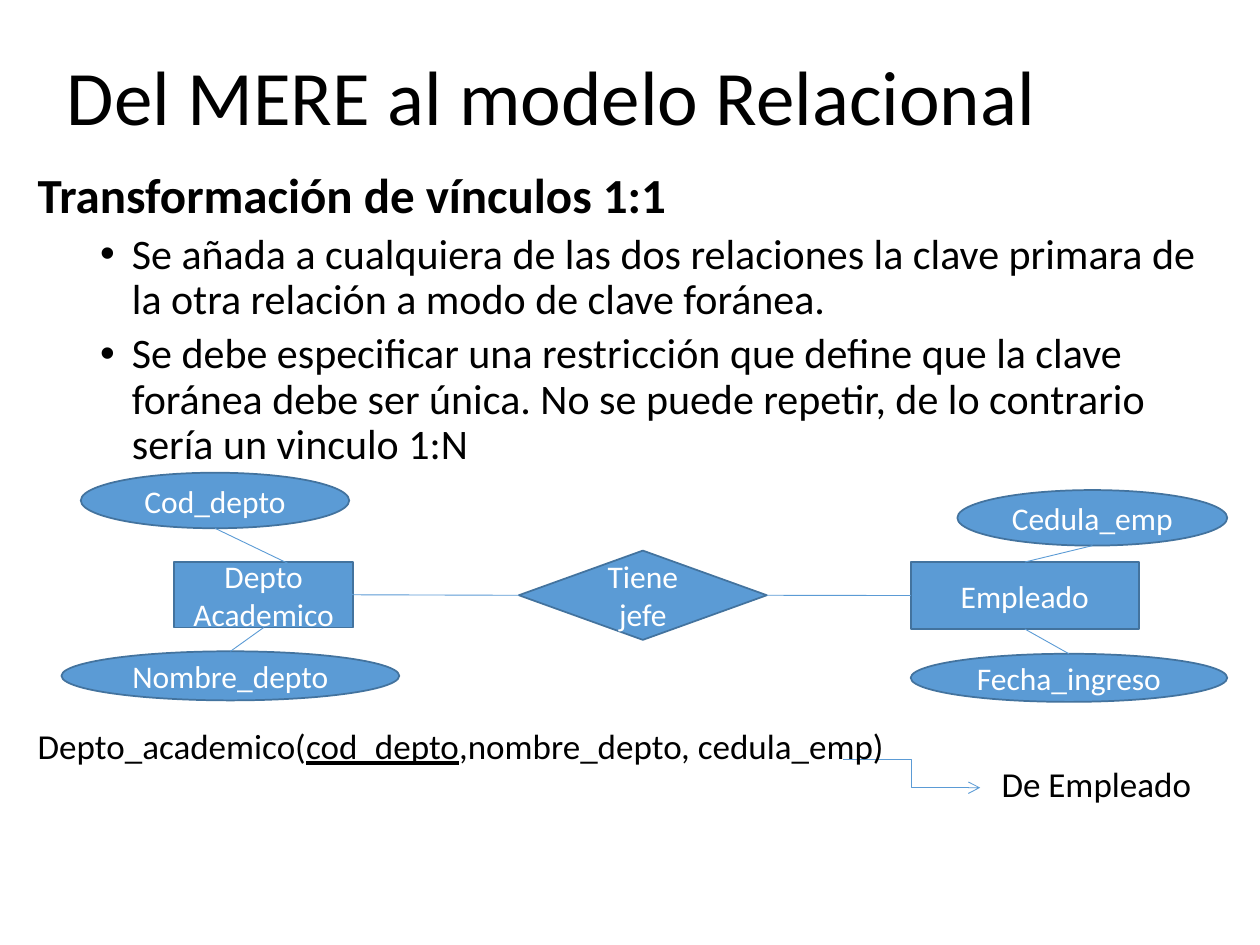
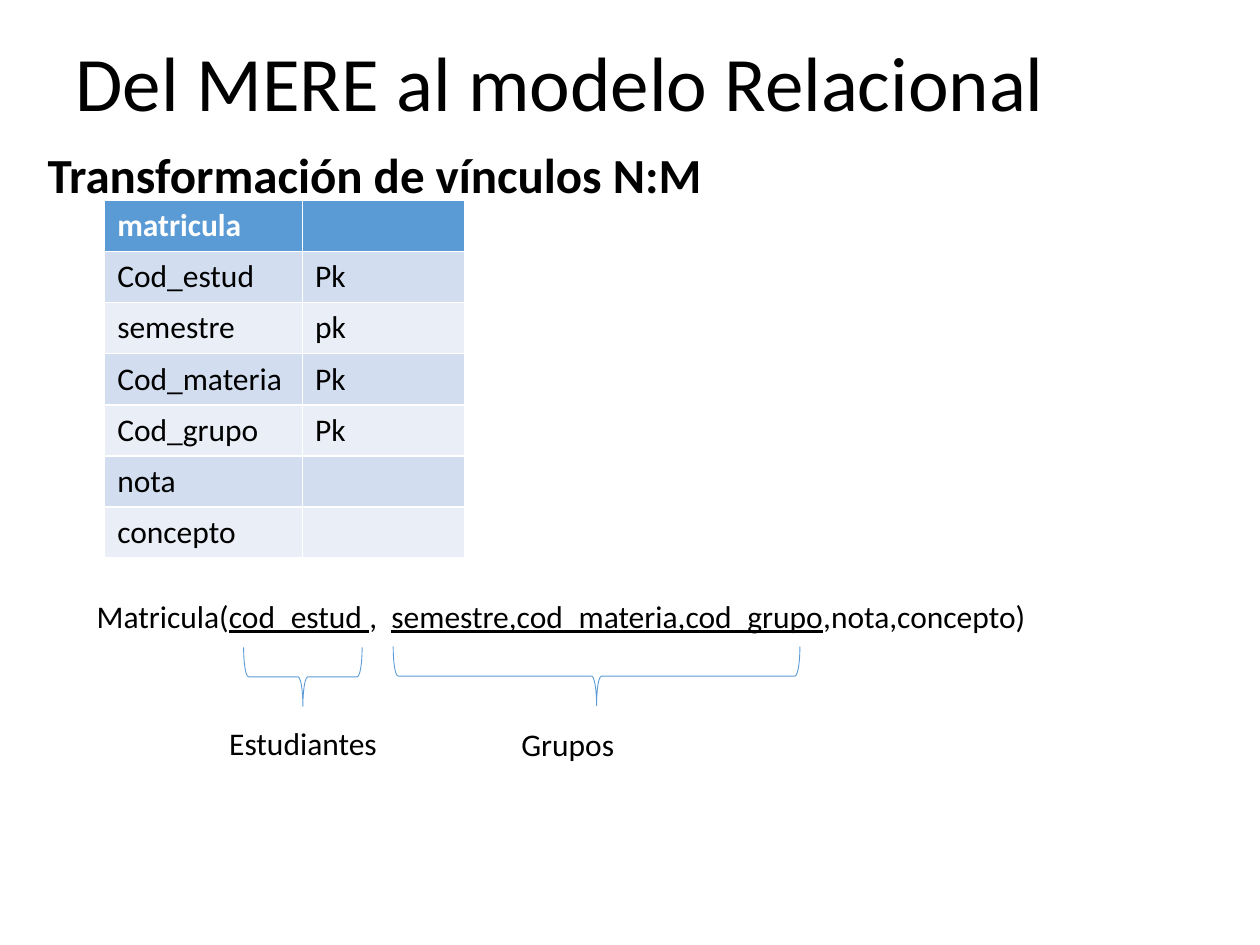
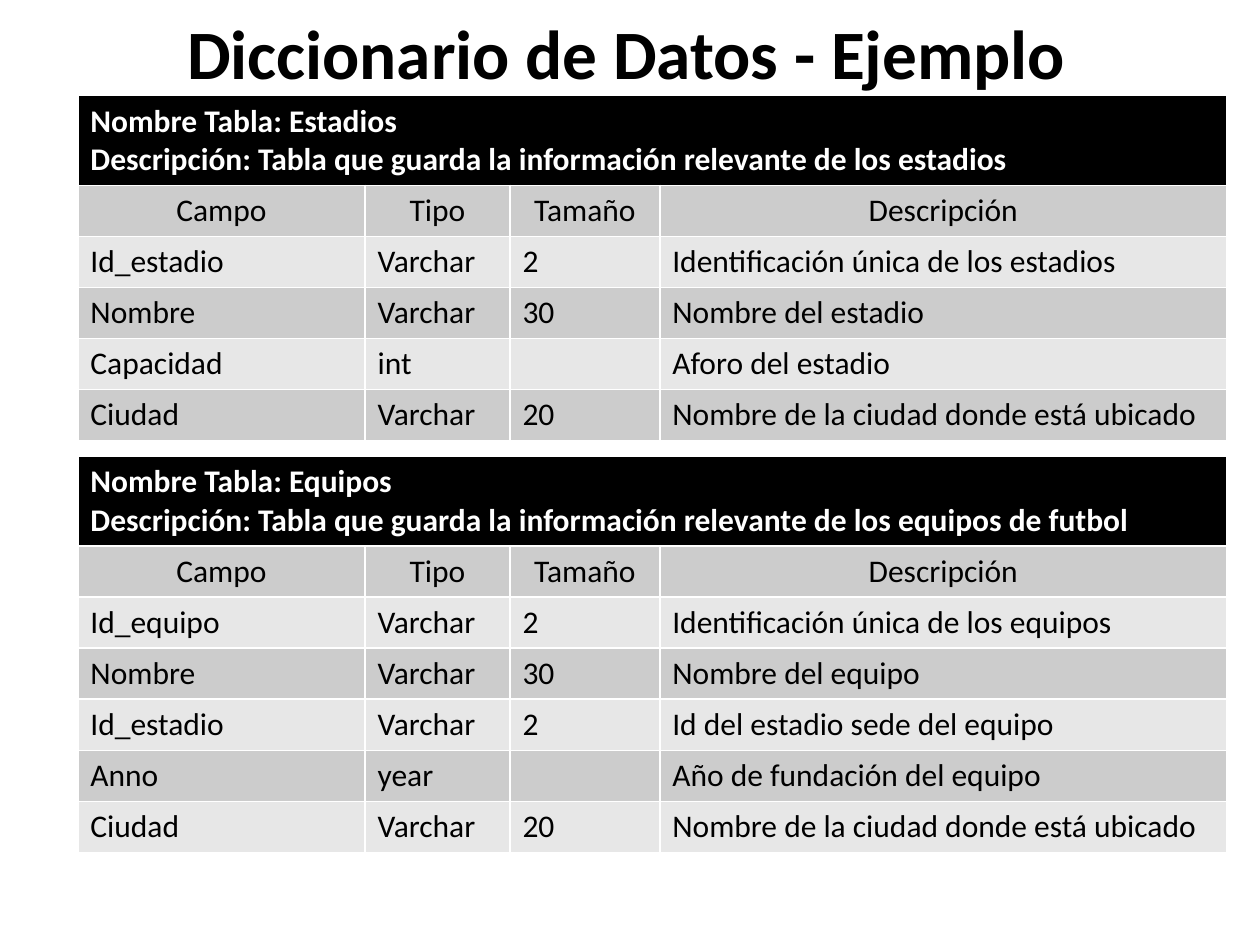
"""Build three slides on the relational model and a data dictionary."""
from lxml import etree
from pptx import Presentation
from pptx.dml.color import RGBColor
from pptx.enum.shapes import MSO_CONNECTOR, MSO_SHAPE
from pptx.enum.text import MSO_ANCHOR, MSO_AUTO_SIZE, PP_ALIGN
from pptx.oxml.ns import qn
from pptx.util import Cm, Pt

RECT, OVAL, RHOMB = MSO_SHAPE.RECTANGLE, MSO_SHAPE.OVAL, MSO_SHAPE.DIAMOND
BRACE = MSO_SHAPE.RIGHT_BRACE
STRAIGHT, ELBOW = MSO_CONNECTOR.STRAIGHT, MSO_CONNECTOR.ELBOW
LEFT, CENTER = PP_ALIGN.LEFT, PP_ALIGN.CENTER
MIDDLE, FIXED = MSO_ANCHOR.MIDDLE, MSO_AUTO_SIZE.NONE
TOP, WEST, BOTTOM, EAST = range(4)
BLACK, WHITE, BLUE, NAVY = "000000", "FFFFFF", "5B9BD5", "43739E"
hue = RGBColor.from_string


def write(frame, paras, size=18, color=BLACK, bold=False, align=LEFT):
    """Fill a frame; in each paragraph every second piece is underlined."""
    for i, parts in enumerate(paras):
        para = frame.add_paragraph() if i else frame.paragraphs[0]
        para.alignment = align
        for j, part in enumerate(parts):
            run = para.add_run()
            run.text = part
            look = {"name": "Calibri", "size": Pt(size), "bold": bold, "underline": j % 2 == 1}
            for key, value in look.items():
                setattr(run.font, key, value)
            run.font.color.rgb = hue(color)


def link(slide, kind, start, end):
    """Draw a thin blue connector between two points."""
    wire = slide.shapes.add_connector(kind, *start, *end)
    wire.line.color.rgb = hue(BLUE)
    wire.line.width = Pt(0.5)
    etree.SubElement(wire._element.spPr, qn("a:effectLst"))
    return wire


deck = Presentation()
deck.slide_width, deck.slide_height = Cm(25.4), Cm(19.05)

MODEL = "Del MERE al modelo Relacional"
titles = [
    (MODEL, (1.09, 0.74, 22.86, 2.57), 44, False, LEFT),
    (MODEL, (1.27, 0.76, 22.86, 1.96), 44, False, LEFT),
    ("Diccionario de Datos - Ejemplo", (1.68, 0.3, 21.9, 1.7), 39.6, True, CENTER),
]
slides = []
for text, box, size, bold, align in titles:
    slide = deck.slides.add_slide(deck.slide_layouts[5])
    title = slide.shapes.title
    title.left, title.top, title.width, title.height = map(Cm, box)
    frame = title.text_frame
    frame.auto_size, frame.vertical_anchor = FIXED, MIDDLE
    write(frame, [[text]], size, bold=bold, align=align)
    frame.paragraphs[0].line_spacing = 0.9
    slides.append(slide)
links, many, _ = slides

bodies = [
    (links, (0.51, 3.33, 24.26, 8.2), "Transformación de vínculos 1:1", [
        "Se añada a cualquiera de las dos relaciones la clave primara de la otra "
        "relación a modo de clave foránea.",
        "Se debe especificar una restricción que define que la clave foránea debe "
        "ser única. No se puede repetir, de lo contrario sería un vinculo 1:N",
    ]),
    (many, (0.71, 2.92, 24.21, 2.01), "Transformación de vínculos N:M", []),
]
for slide, box, head, points in bodies:
    frame = slide.shapes.add_textbox(*map(Cm, box)).text_frame
    frame.word_wrap = True
    write(frame, [[head]], 28, bold=True)
    frame.paragraphs[0].line_spacing = 0.9
    for point in points:
        para = frame.add_paragraph()
        para.line_spacing, para.space_before = 0.9, Pt(5)
        props = para._p.get_or_add_pPr()
        props.set("marL", str(Cm(1.9)))
        props.set("indent", str(Cm(-0.64)))
        etree.SubElement(props, qn("a:buFont"), typeface="Arial")
        etree.SubElement(props, qn("a:buChar"), char="•")
        run = para.add_run()
        run.text = point
        run.font.name, run.font.size = "Calibri", Pt(24)
        run.font.color.rgb = hue(BLACK)

nodes = {}
for kind, box, lines in [
    (RECT, (3.51, 11.33, 3.61, 1.32), ["Depto", "Academico"]),
    (OVAL, (1.63, 9.53, 5.41, 1.12), ["Cod_depto"]),
    (OVAL, (1.24, 13.13, 6.81, 0.99), ["Nombre_depto"]),
    (RHOMB, (10.46, 11.1, 5, 1.8), ["Tiene", "jefe"]),
    (RECT, (18.36, 11.33, 4.6, 1.35), ["Empleado"]),
    (OVAL, (19.3, 9.88, 5.44, 1.12), ["Cedula_emp"]),
    (OVAL, (18.36, 13.18, 6.38, 0.97), ["Fecha_ingreso"]),
]:
    node = links.shapes.add_shape(kind, *map(Cm, box))
    node.shadow.inherit = False
    node.fill.solid()
    node.fill.fore_color.rgb = hue(BLUE)
    node.line.color.rgb = hue(NAVY)
    node.line.width = Pt(1)
    node.text_frame.vertical_anchor = MIDDLE
    write(node.text_frame, [[line] for line in lines], color=WHITE, align=CENTER)
    nodes[lines[0]] = node

for owner, site, field, edge in [
    ("Depto", EAST, "Cod_depto", BOTTOM),
    ("Depto", BOTTOM, "Nombre_depto", TOP),
    ("Empleado", TOP, "Cedula_emp", BOTTOM),
    ("Empleado", BOTTOM, "Fecha_ingreso", TOP),
]:
    oval = nodes[field]
    end = oval.left + oval.width // 2, oval.top + (oval.height if edge == BOTTOM else 0)
    link(links, STRAIGHT, end, end).begin_connect(nodes[owner], site)

for first, last in [("Depto", "Tiene"), ("Tiene", "Empleado")]:
    wire = link(links, STRAIGHT, (0, 0), (0, 0))
    wire.begin_connect(nodes[first], EAST)
    wire.end_connect(nodes[last], WEST)

arrow = link(links, ELBOW, (Cm(16.99), Cm(15.32)), (Cm(19.76), Cm(15.88)))
etree.SubElement(arrow.line._get_or_add_ln(), qn("a:tailEnd"), type="arrow")

for slide, box, parts, size, wrap in [
    (links, (0.51, 14.48, 18.31, 1.12),
     ["Depto_academico(", "cod_depto", ",nombre_depto, cedula_emp)"], 20, True),
    (links, (19.94, 15.24, 5.05, 1.12), ["De Empleado"], 20, True),
    (many, (1.7, 11.91, 22.2, 1.02),
     ["Matricula(", "cod_estud ", ",  ", "semestre,cod_materia,cod_grupo",
      ",nota,concepto)"], 18, True),
    (many, (4.37, 14.48, 3.53, 1.02), ["Estudiantes"], 18, False),
    (many, (10.26, 14.5, 2.41, 1.02), ["Grupos"], 18, False),
]:
    frame = slide.shapes.add_textbox(*map(Cm, box)).text_frame
    frame.word_wrap = wrap
    write(frame, [parts], size)

for box in [(5.51, 12.45, 1.19, 2.39), (11.43, 9.53, 1.19, 8.2)]:
    brace = many.shapes.add_shape(BRACE, *map(Cm, box))
    brace.rotation = 90
    brace.shadow.inherit = False
    brace.fill.background()
    brace.line.color.rgb = hue(BLUE)
    brace.line.width = Pt(0.5)

FIELDS = ["Campo", "Tipo", "Tamaño", "Descripción"]
WIDE = [5.79, 2.92, 3.02, 11.43]
BLUES, GREYS = (BLUE, "D2DEEF", "EAEFF7"), (BLACK, "CCCCCC", "E7E7E7")
CITY = ["Ciudad", "Varchar", "20", "Nombre de la ciudad donde está ubicado"]
tables = [
    (1, (2.11, 4.04), [3.99, 3.26], BLUES, ["matricula"], [
        ["Cod_estud", "Pk"], ["semestre", "pk"], ["Cod_materia", "Pk"],
        ["Cod_grupo", "Pk"], ["nota", ""], ["concepto", ""],
    ]),
    (2, (1.57, 1.93), WIDE, GREYS, [
        "Nombre Tabla: Estadios",
        "Descripción: Tabla que guarda la información relevante de los estadios",
    ], [
        FIELDS,
        ["Id_estadio", "Varchar", "2", "Identificación única de los estadios"],
        ["Nombre", "Varchar", "30", "Nombre del estadio"],
        ["Capacidad", "int", "", "Aforo del estadio"],
        CITY,
    ]),
    (2, (1.57, 9.2), WIDE, GREYS, [
        "Nombre Tabla: Equipos",
        "Descripción: Tabla que guarda la información relevante de los equipos de futbol",
    ], [
        FIELDS,
        ["Id_equipo", "Varchar", "2", "Identificación única de los equipos"],
        ["Nombre", "Varchar", "30", "Nombre del equipo"],
        ["Id_estadio", "Varchar", "2", "Id del estadio sede del equipo"],
        ["Anno", "year", "", "Año de fundación del equipo"],
        CITY,
    ]),
]
for page, spot, widths, tints, head, rows in tables:
    highs = [1.03 if len(head) == 1 else 1.77] + [1.03] * len(rows)
    grid = slides[page].shapes.add_table(
        len(highs), len(widths), *map(Cm, spot), Cm(sum(widths)), Cm(sum(highs))).table
    for col, width in zip(grid.columns, widths):
        col.width = Cm(width)
    for row, high in zip(grid.rows, highs):
        row.height = Cm(high)
    for r in range(len(highs)):
        for c in range(len(widths)):
            cell = grid.cell(r, c)
            cell.fill.solid()
            cell.fill.fore_color.rgb = hue(tints[2 - r % 2 if r else 0])
            if r and rows[r - 1][c]:
                align = CENTER if rows[r - 1] is FIELDS else LEFT
                write(cell.text_frame, [[rows[r - 1][c]]], align=align)
    write(grid.cell(0, 0).text_frame, [[line] for line in head], color=WHITE, bold=True)
    if len(head) > 1:
        grid.cell(0, 0).merge(grid.cell(0, len(widths) - 1))

deck.save("out.pptx")
